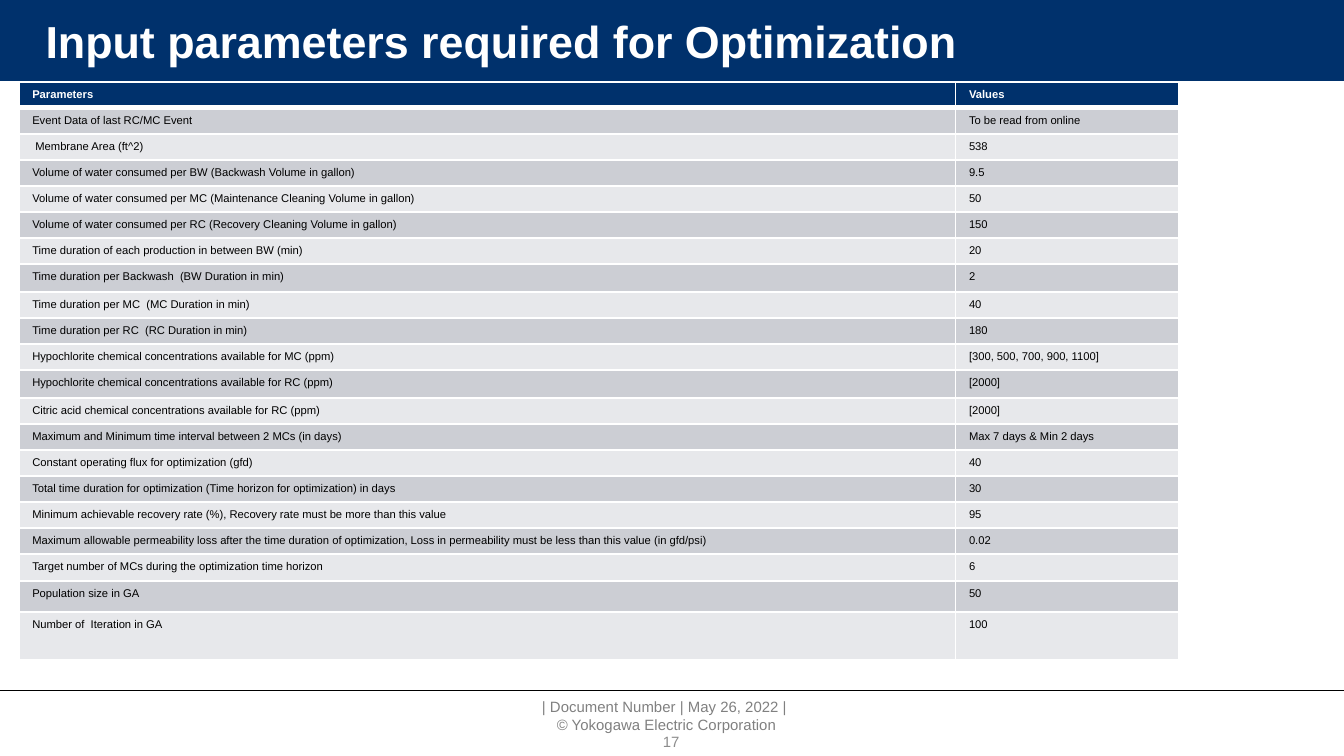
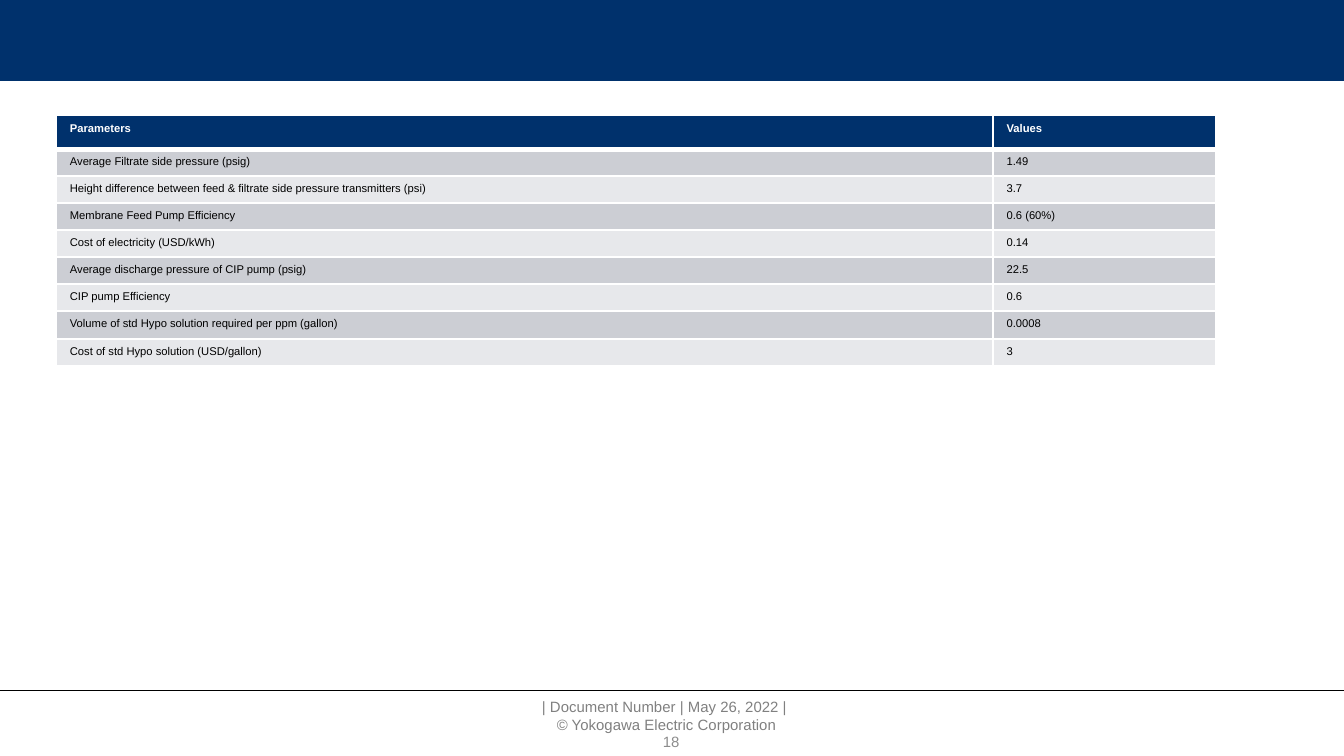
"""Build two slides listing the input parameters for optimization."""
from pptx import Presentation
from pptx.dml.color import RGBColor
from pptx.enum import shapes, text
from pptx.oxml import parse_xml
from pptx.oxml import ns
from pptx.util import Inches, Pt

NAVY = RGBColor(0x00, 0x31, 0x6C)
WHITE = RGBColor(0xFF, 0xFF, 0xFF)
BLACK = RGBColor(0, 0, 0)
GRAY = RGBColor(0x80, 0x80, 0x80)
PALE = RGBColor(0x8C, 0x8C, 0x8C)
DARK = RGBColor(0xCC, 0xCE, 0xD4)
LIGHT = RGBColor(0xE7, 0xE8, 0xEB)
FONT = "Arial"
ROW = 0.19

HEAD = ("Parameters", "Values")
INPUTS = [
    HEAD,
    ("Event Data of last RC/MC Event", "To be read from online"),
    (" Membrane Area (ft^2)", "538"),
    ("Volume of water consumed per BW (Backwash Volume in gallon)", "9.5"),
    ("Volume of water consumed per MC (Maintenance Cleaning Volume in gallon)", "50"),
    ("Volume of water consumed per RC (Recovery Cleaning Volume in gallon)", "150"),
    ("Time duration of each production in between BW (min)", "20"),
    ("Time duration per Backwash  (BW Duration in min)", "2"),
    ("Time duration per MC  (MC Duration in min)", "40"),
    ("Time duration per RC  (RC Duration in min)", "180"),
    ("Hypochlorite chemical concentrations available for MC (ppm)",
     "[300, 500, 700, 900, 1100]"),
    ("Hypochlorite chemical concentrations available for RC (ppm)", "[2000]"),
    ("Citric acid chemical concentrations available for RC (ppm)", "[2000]"),
    ("Maximum and Minimum time interval between 2 MCs (in days)",
     "Max 7 days & Min 2 days"),
    ("Constant operating flux for optimization (gfd)", "40"),
    ("Total time duration for optimization (Time horizon for optimization) in days", "30"),
    ("Minimum achievable recovery rate (%), Recovery rate must be more than this value",
     "95"),
    ("Maximum allowable permeability loss after the time duration of optimization, "
     "Loss in permeability must be less than this value (in gfd/psi)", "0.02"),
    ("Target number of MCs during the optimization time horizon", "6"),
    ("Population size in GA", "50"),
    ("Number of  Iteration in GA", "100"),
]
COSTS = [
    HEAD,
    ("Average Filtrate side pressure (psig)", "1.49"),
    ("Height difference between feed & filtrate side pressure transmitters (psi)", "3.7"),
    ("Membrane Feed Pump Efficiency", "0.6 (60%)"),
    ("Cost of electricity (USD/kWh)", "0.14"),
    ("Average discharge pressure of CIP pump (psig)", "22.5"),
    ("CIP pump Efficiency", "0.6"),
    ("Volume of std Hypo solution required per ppm (gallon)", "0.0008"),
    ("Cost of std Hypo solution (USD/gallon)", "3"),
]
PAGES = [
    ("Input parameters required for Optimization", 17, INPUTS, 0.14, 0.61,
     {7: 0.21, 11: 0.21, 18: 0.2, 19: 0.23, 20: 0.36}, 3.1),
    ("", 18, COSTS, 0.42, 0.86, {0: 0.25, 7: 0.21}, 3.6),
]


def write(slide, box, words, size, color, align, bold=False, inset=None):
    """Add a text box centred vertically on its place."""
    frame = slide.shapes.add_textbox(*map(Inches, box)).text_frame
    frame.word_wrap = True
    frame.vertical_anchor = text.MSO_ANCHOR.MIDDLE
    if inset is not None:
        frame.margin_left = frame.margin_right = Inches(inset)
        frame.margin_top = frame.margin_bottom = Inches(inset)
    frame.text = words
    for para in frame.paragraphs:
        para.alignment = align
        for run in para.runs:
            run.font.name, run.font.size = FONT, Pt(size)
            run.font.bold, run.font.color.rgb = bold, color


def rule(slide, top, color):
    """Draw a thin line across the slide."""
    line = slide.shapes.add_connector(
        shapes.MSO_CONNECTOR.STRAIGHT, 0, Inches(top), Inches(10), Inches(top))
    line.line.color.rgb, line.line.width = color, Pt(0.75)
    line._element.spPr.append(parse_xml(f"<a:effectLst {ns.nsdecls('a')}/>"))


prs = Presentation()
prs.slide_width = Inches(10)
prs.slide_height = Inches(10) * 9 // 16
MID, LEFT = text.PP_ALIGN.CENTER, text.PP_ALIGN.LEFT

for title, page, rows, left, top, tall, foot in PAGES:
    slide = prs.slides.add_slide(prs.slide_layouts[6])
    write(slide, (2.4, 5.19, 5.12, 0.27),
          "| Document Number | May 26, 2022 | \n© Yokogawa Electric Corporation",
          8, GRAY, MID, inset=0)
    rule(slide, 5.14, BLACK)
    band = slide.shapes.add_shape(
        shapes.MSO_SHAPE.RECTANGLE, 0, 0, Inches(10), Inches(0.61))
    band.shadow.inherit = False
    band.fill.solid()
    band.fill.fore_color.rgb = NAVY
    band.line.fill.background()
    rule(slide, 0.61, WHITE)
    if title:
        write(slide, (0.24, 0.08, 8.69, 0.45), title, 24, WHITE, LEFT, bold=True)
    write(slide, (3.83, 5.45, 2.33, 0.14), str(page), 8, PALE, MID)

    highs = [tall.get(i, ROW) for i in range(len(rows))]
    grid = slide.shapes.add_table(
        len(rows), 2, Inches(left), Inches(top), Inches(8.63), Inches(sum(highs))).table
    grid.columns[0].width, grid.columns[1].width = Inches(6.97), Inches(1.66)
    for i, (row, high) in enumerate(zip(rows, highs)):
        grid.rows[i].height = Inches(high)
        for j, words in enumerate(row):
            cell = grid.cell(i, j)
            cell.text = words
            cell.margin_bottom = Pt(foot)
            font = cell.text_frame.paragraphs[0].runs[0].font
            font.name, font.size, font.bold = FONT, Pt(6), i == 0
            font.color.rgb = BLACK if i else WHITE
            props = cell._tc.get_or_add_tcPr()
            for side in "LRTB":
                thick = 3 if (i, side) in ((0, "B"), (1, "T")) else 1
                props.append(parse_xml(
                    f'<a:ln{side} {ns.nsdecls("a")} w="{Pt(thick)}"><a:solidFill>'
                    f'<a:srgbClr val="{WHITE}"/></a:solidFill></a:ln{side}>'))
            cell.fill.solid()
            cell.fill.fore_color.rgb = NAVY if i == 0 else DARK if i % 2 else LIGHT

prs.save("out.pptx")
